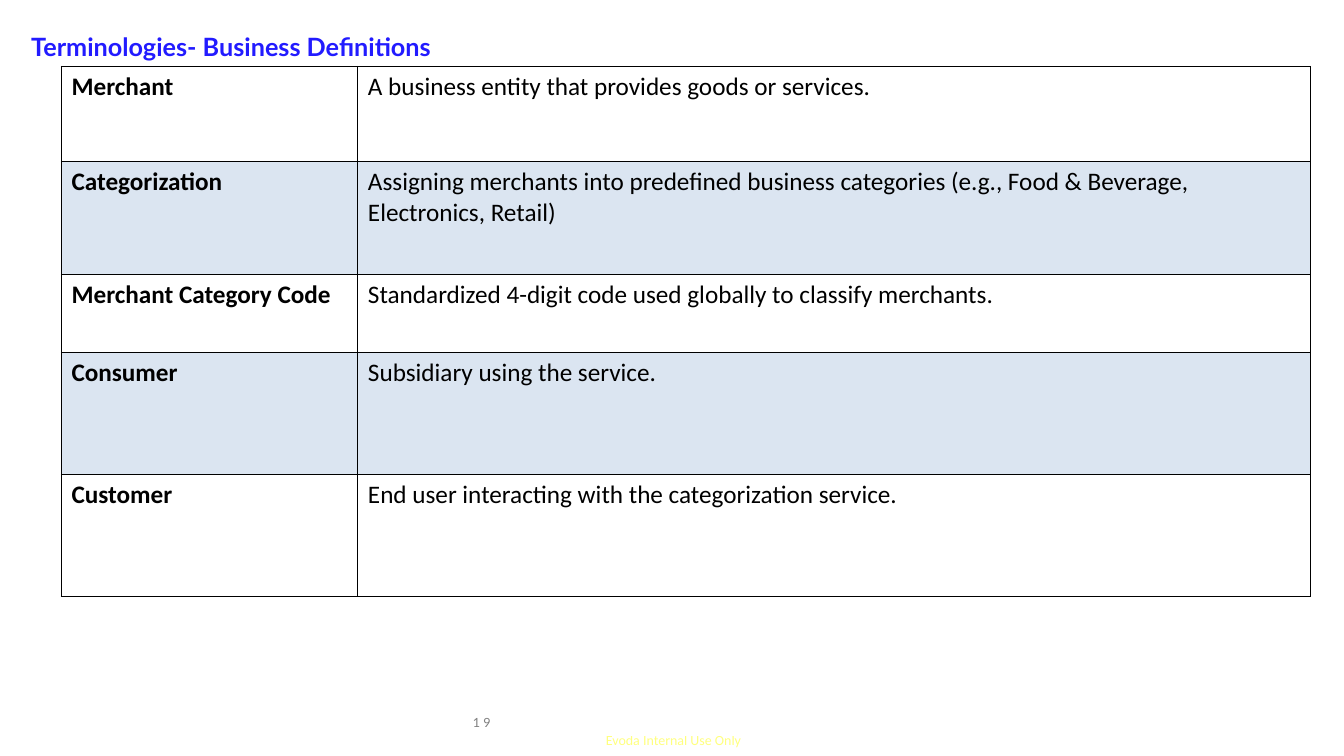
from lxml import etree
from pptx import Presentation
from pptx import util as u
from pptx.dml.color import RGBColor
from pptx.enum import text
from pptx.oxml.ns import qn

# Content
TITLE = "Terminologies- Business Definitions"
TERMS = [  # term, definition, row height
    ("Merchant", "A business entity that provides goods or services.", 0.94),
    ("Categorization", "Assigning merchants into predefined business categories "
     "(e.g., Food & Beverage, Electronics, Retail)", 1.12),
    ("Merchant Category Code",
     "Standardized 4-digit code used globally to classify merchants.", 0.78),
    ("Consumer", "Subsidiary using the service.", 1.21),
    ("Customer", "End user interacting with the categorization service.", 1.21),
]
COLS = (2.94, 9.45)
PAGE = ("1 ", "9")
NOTICE = "Evoda Internal Use Only"
BLACK, BLUE, BAND, GREY, YELLOW = "000000", "221BFF", "4F81BD", "7E7E7E", "FFFF00"


def inch(*sizes):
    return [u.Inches(s) for s in sizes]


def color(code):
    return RGBColor.from_string(code)


def fade(fill, share):
    """Give a solid fill the stated opacity in percent."""
    tint = fill._xPr.find(qn("a:solidFill"))[0]
    etree.SubElement(tint, qn("a:alpha")).set("val", str(share * 1000))


def write(frame, words, size, font, code, bold=False):
    para = frame.paragraphs[0]
    para.alignment = text.PP_ALIGN.LEFT
    run = para.add_run()
    run.text = words
    run.font.size, run.font.name, run.font.bold = u.Pt(size), font, bold
    run.font.fill.solid()
    run.font.fill.fore_color.rgb = color(code)
    return run


def place(shape, box, top):
    shape.left, shape.top, shape.width, shape.height = inch(*box)
    frame = shape.text_frame
    frame.word_wrap = True
    frame.auto_size = text.MSO_AUTO_SIZE.NONE
    frame.vertical_anchor = text.MSO_ANCHOR.TOP
    frame.margin_left = frame.margin_right = frame.margin_bottom = 0
    frame.margin_top = u.Inches(top)
    return frame


def edge(cell):
    """Draw a thin black line on all four sides."""
    props = cell._tc.get_or_add_tcPr()
    for side in "LRTB":
        line = etree.SubElement(props, qn("a:ln" + side), w=str(u.Pt(1)))
        paint = etree.SubElement(line, qn("a:solidFill"))
        etree.SubElement(paint, qn("a:srgbClr"), val=BLACK)


deck = Presentation()
deck.slide_width, deck.slide_height = inch(13.33, 7.5)
slide = deck.slides.add_slide(deck.slide_layouts[5])

# Title
frame = place(slide.shapes.title, (0.31, 0.29, 10.96, 0.33), 0.02)
write(frame, TITLE, 18, "Lato", BLUE, True)

# Footer notice and page number
frame = place(slide.shapes.add_textbox(0, 0, 0, 0), (6.01, 7.26, 1.34, 0.17), 0)
run = write(frame, NOTICE, 10, "Calibri", YELLOW)
fade(run.font.fill, 50)
frame = place(slide.shapes.add_textbox(0, 0, 0, 0), (4.69, 7.05, 0.25, 0.19), 0.04)
for part in PAGE:
    run = write(frame, part, 9, "Lato", GREY)
run._r.get_or_add_rPr().set("spc", "-50")

# Table of terms
high = sum(row[2] for row in TERMS)
grid = slide.shapes.add_table(len(TERMS), len(COLS),
                              *inch(0.61, 0.66, sum(COLS), high)).table
grid.first_row = grid.horz_banding = False
for col, wide in zip(grid.columns, COLS):
    col.width = u.Inches(wide)
for r, (term, sense, tall) in enumerate(TERMS):
    grid.rows[r].height = u.Inches(tall)
    for c, words in enumerate((term, sense)):
        cell = grid.cell(r, c)
        edge(cell)
        if r % 2:
            cell.fill.solid()
            cell.fill.fore_color.rgb = color(BAND)
            fade(cell.fill, 20)
        else:
            cell.fill.background()
        write(cell.text_frame, words, 18, "Calibri", BLACK, c == 0)

deck.save("out.pptx")
